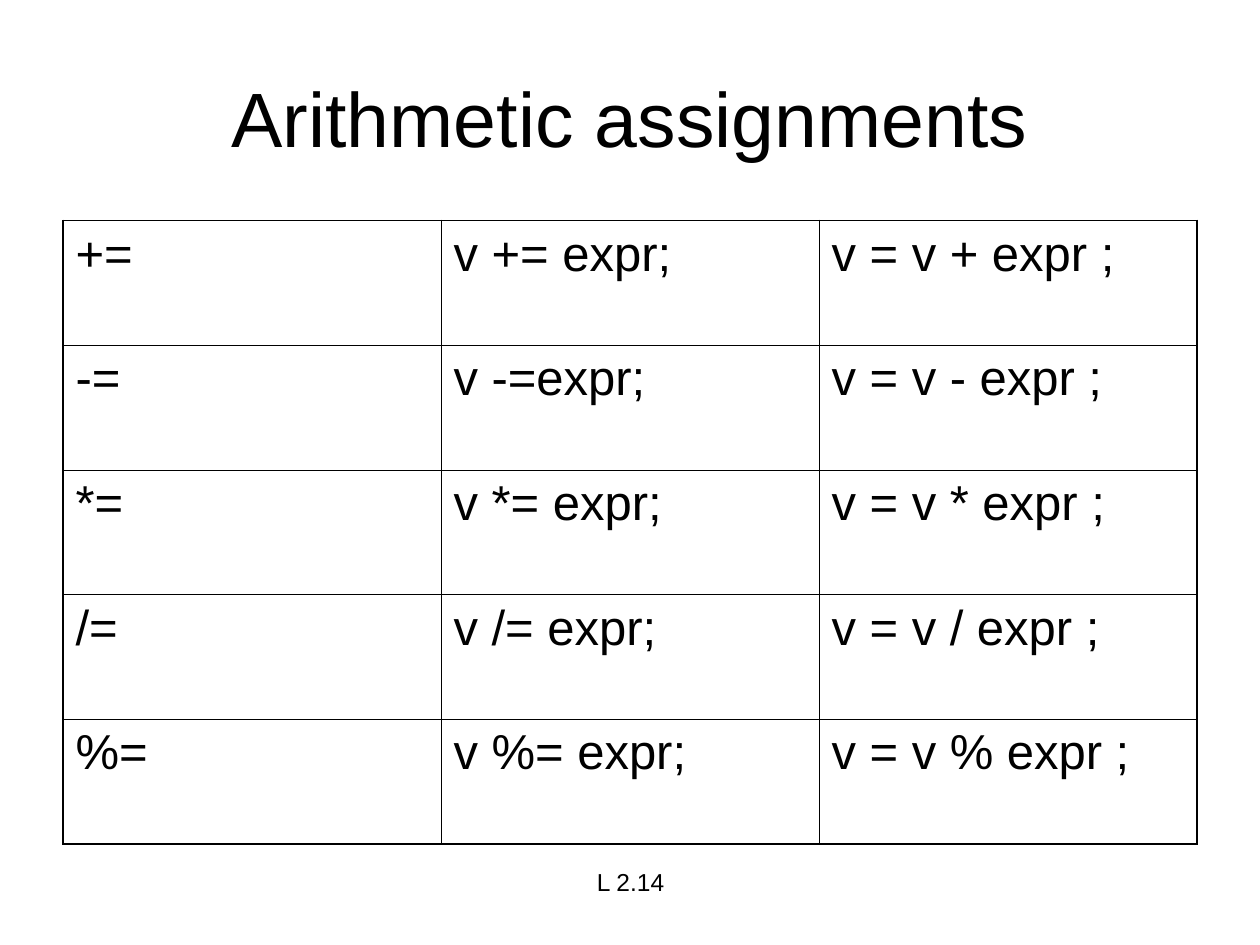
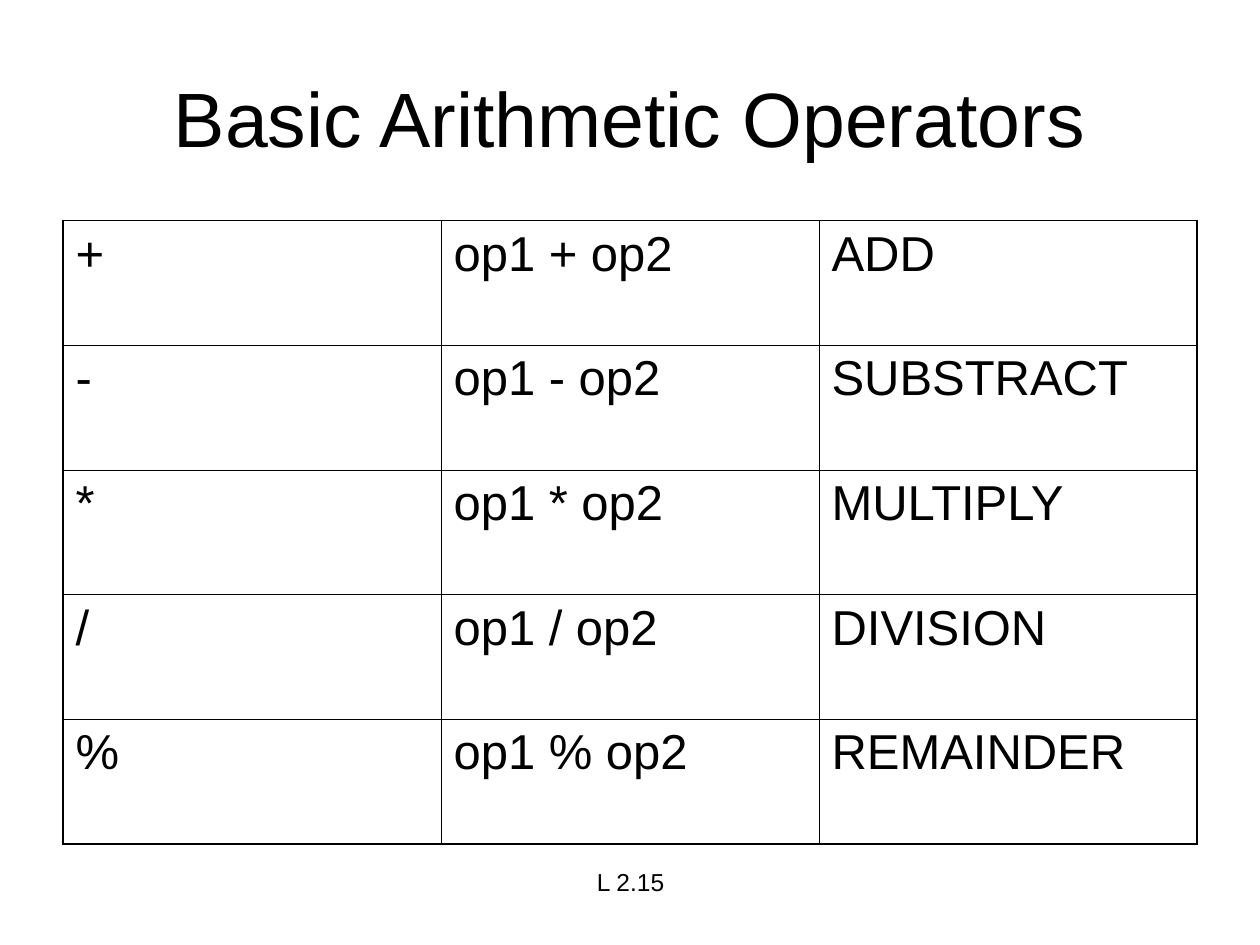
from lxml import etree
from pptx import Presentation
from pptx import util as u
from pptx.dml.color import RGBColor
from pptx.enum import text
from pptx.oxml import ns

COLORS = {"ink": "000000", "paper": "FFFFFF"}
FONT = "Arial"
OUTER_BORDER, INNER_BORDER = 1.08, 0.45
COLUMN_WIDTH, ROW_HEIGHT = 3, 0.99

TITLE_STYLE = {"size": 44, "align": text.PP_ALIGN.CENTER, "anchor": text.MSO_ANCHOR.MIDDLE}
FOOTER_STYLE = {"size": 14, "align": text.PP_ALIGN.CENTER, "anchor": text.MSO_ANCHOR.TOP}

ASSIGNMENTS = [
    ("+=", "v += expr;", "v = v + expr ;"),
    ("-=", "v -=expr;", "v = v - expr ;"),
    ("*=", "v *= expr;", "v = v * expr ;"),
    ("/=", "v /= expr;", "v = v / expr ;"),
    ("%=", "v %= expr;", "v = v % expr ;"),
]
OPERATIONS = [("+", "ADD"), ("-", "SUBSTRACT"), ("*", "MULTIPLY"),
              ("/", "DIVISION"), ("%", "REMAINDER")]
OPERATORS = [(sign, f"op1 {sign} op2", meaning) for sign, meaning in OPERATIONS]


def color(key):
    return RGBColor.from_string(COLORS[key])


def write(paragraph, wording, size, **paragraph_format):
    run = paragraph.add_run()
    run.text = wording
    for name, value in {"name": FONT, "size": u.Pt(size)}.items():
        setattr(run.font, name, value)
    run.font.color.rgb = color("ink")
    for name, value in paragraph_format.items():
        setattr(paragraph, name, value)


def add_label(slide, wording, box, style):
    frame = slide.shapes.add_textbox(*map(u.Inches, box)).text_frame
    frame.word_wrap = True
    frame.vertical_anchor = style["anchor"]
    write(frame.paragraphs[0], wording, style["size"], alignment=style["align"])


def set_borders(cell, widths):
    """Draw the cell's edges; widths maps L, R, T, B, in that order, to points."""
    properties = cell._tc.get_or_add_tcPr()
    for side, width in widths.items():
        edge = etree.SubElement(properties, ns.qn(f"a:ln{side}"), w=str(u.Pt(width)))
        fill = etree.SubElement(edge, ns.qn("a:solidFill"))
        etree.SubElement(fill, ns.qn("a:srgbClr"), val=COLORS["ink"])


def add_operator_table(slide, rows, left, top):
    row_count, column_count = len(rows), len(rows[0])
    size = (column_count * COLUMN_WIDTH, row_count * ROW_HEIGHT)
    table = slide.shapes.add_table(
        row_count, column_count, *map(u.Inches, (left, top, *size))).table
    table.first_row = table.horz_banding = False
    for r, row in enumerate(rows):
        for c, wording in enumerate(row):
            cell = table.cell(r, c)
            on_rim = {"L": c == 0, "R": c == column_count - 1,
                      "T": r == 0, "B": r == row_count - 1}
            set_borders(cell, {side: OUTER_BORDER if rim else INNER_BORDER
                               for side, rim in on_rim.items()})
            cell.fill.background()
            write(cell.text_frame.paragraphs[0], wording, 28, space_before=u.Pt(7))


def add_operator_slide(deck, title, rows, page):
    slide = deck.slides.add_slide(deck.slide_layouts[6])
    slide.background.fill.solid()
    slide.background.fill.fore_color.rgb = color("paper")
    add_label(slide, title, (0.5, 0.3, 9, 1.25), TITLE_STYLE)
    add_operator_table(slide, rows, 0.5, 1.75)
    add_label(slide, f"L 2.{page}", (3.42, 6.83, 3.17, 0.52), FOOTER_STYLE)


def main():
    deck = Presentation()
    deck.slide_width, deck.slide_height = u.Inches(10), u.Inches(7.5)
    add_operator_slide(deck, "Arithmetic assignments", ASSIGNMENTS, 14)
    add_operator_slide(deck, "Basic Arithmetic Operators", OPERATORS, 15)
    deck.save("out.pptx")


if __name__ == "__main__":
    main()
